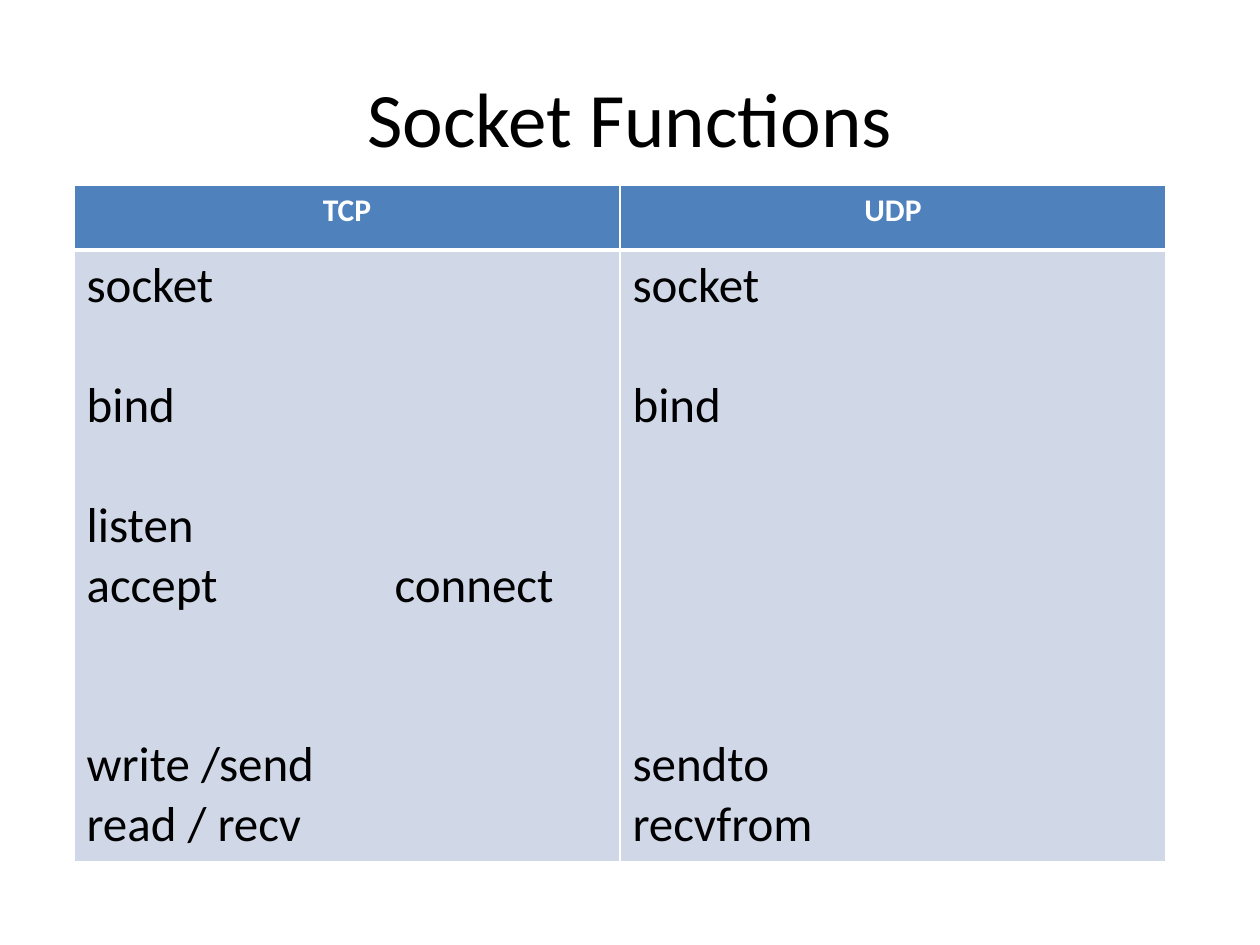
from dataclasses import dataclass

from lxml.etree import SubElement
from pptx import Presentation
from pptx.dml.color import RGBColor
from pptx.enum.text import MSO_ANCHOR, PP_ALIGN
from pptx.oxml import parse_xml
from pptx.oxml.ns import nsdecls, qn
from pptx.util import Pt

PX = 914400 // 126
FONT = "Calibri"
BLACK = RGBColor(0x00, 0x00, 0x00)
WHITE = RGBColor(0xFF, 0xFF, 0xFF)
BLUE = RGBColor(0x4F, 0x81, 0xBD)
PALE = RGBColor(0xD0, 0xD8, 0xE8)
LINE = 34.2  # points in one line of body text
TAB = 308


@dataclass(frozen=True)
class Call:
    text: str
    skip: int = 0  # lines left free above


@dataclass(frozen=True)
class Column:
    name: str
    calls: tuple[Call, ...]


COLUMNS = (
    Column("TCP", (Call("socket"), Call("bind", 1), Call("listen", 1),
                   Call("accept\tconnect"), Call("write /send", 2),
                   Call("read / recv"))),
    Column("UDP", (Call("socket"), Call("bind", 1), Call("sendto", 5),
                   Call("recvfrom"))),
)


def style(par, size: int, color: RGBColor, bold: bool = False) -> None:
    for run in par.runs:
        font = run.font
        font.name, font.size, font.bold = FONT, Pt(size), bold
        font.color.rgb = color


def border(cell, **widths: int) -> None:
    """Draw white cell edges, with widths in points keyed by L, R, T and B."""
    props = cell._tc.get_or_add_tcPr()
    for spot, (side, width) in enumerate(widths.items()):
        props.insert(spot, parse_xml(
            f'<a:ln{side} {nsdecls("a")} w="{Pt(width)}"><a:solidFill>'
            f'<a:srgbClr val="{WHITE}"/></a:solidFill></a:ln{side}>'))


def paint(cell, color: RGBColor) -> None:
    cell.fill.solid()
    cell.fill.fore_color.rgb = color


def add_tab(par, left: int) -> None:
    tabs = SubElement(par._p.get_or_add_pPr(), qn("a:tabLst"))
    SubElement(tabs, qn("a:tab"), pos=str(left * PX), algn="l")


def draw_head(cell, name: str) -> None:
    paint(cell, BLUE)
    border(cell, L=1, R=1, T=1, B=3)
    par = cell.text_frame.paragraphs[0]
    par.text = name
    par.alignment = PP_ALIGN.CENTER
    style(par, 18, WHITE, bold=True)


def draw_body(cell, calls: tuple[Call, ...]) -> None:
    paint(cell, PALE)
    border(cell, L=1, R=1, T=3, B=1)
    frame = cell.text_frame
    frame.text = "\n".join(call.text for call in calls)
    for par, call in zip(frame.paragraphs, calls):
        par.space_before = Pt(call.skip * LINE)
        if "\t" in call.text:
            add_tab(par, TAB)
        style(par, 28, BLACK)


def draw_title(shape, text: str) -> None:
    shape.left, shape.top = 63 * PX, 38 * PX
    shape.width, shape.height = 1134 * PX, 157 * PX
    frame = shape.text_frame
    frame.text = text
    frame.vertical_anchor = MSO_ANCHOR.MIDDLE
    par = frame.paragraphs[0]
    par.alignment = PP_ALIGN.CENTER
    style(par, 44, BLACK)


def main() -> None:
    deck = Presentation()
    deck.slide_width, deck.slide_height = 1260 * PX, 945 * PX
    slide = deck.slides.add_slide(deck.slide_layouts[5])
    draw_title(slide.shapes.title, "Socket Functions")

    heights = (65, 611)
    table = slide.shapes.add_table(
        len(heights), len(COLUMNS),
        74 * PX, 185 * PX, 1092 * PX, sum(heights) * PX).table
    for row, height in zip(table.rows, heights):
        row.height = height * PX
    for index, column in enumerate(COLUMNS):
        draw_head(table.cell(0, index), column.name)
        draw_body(table.cell(1, index), column.calls)
    deck.save("out.pptx")


if __name__ == "__main__":
    main()
